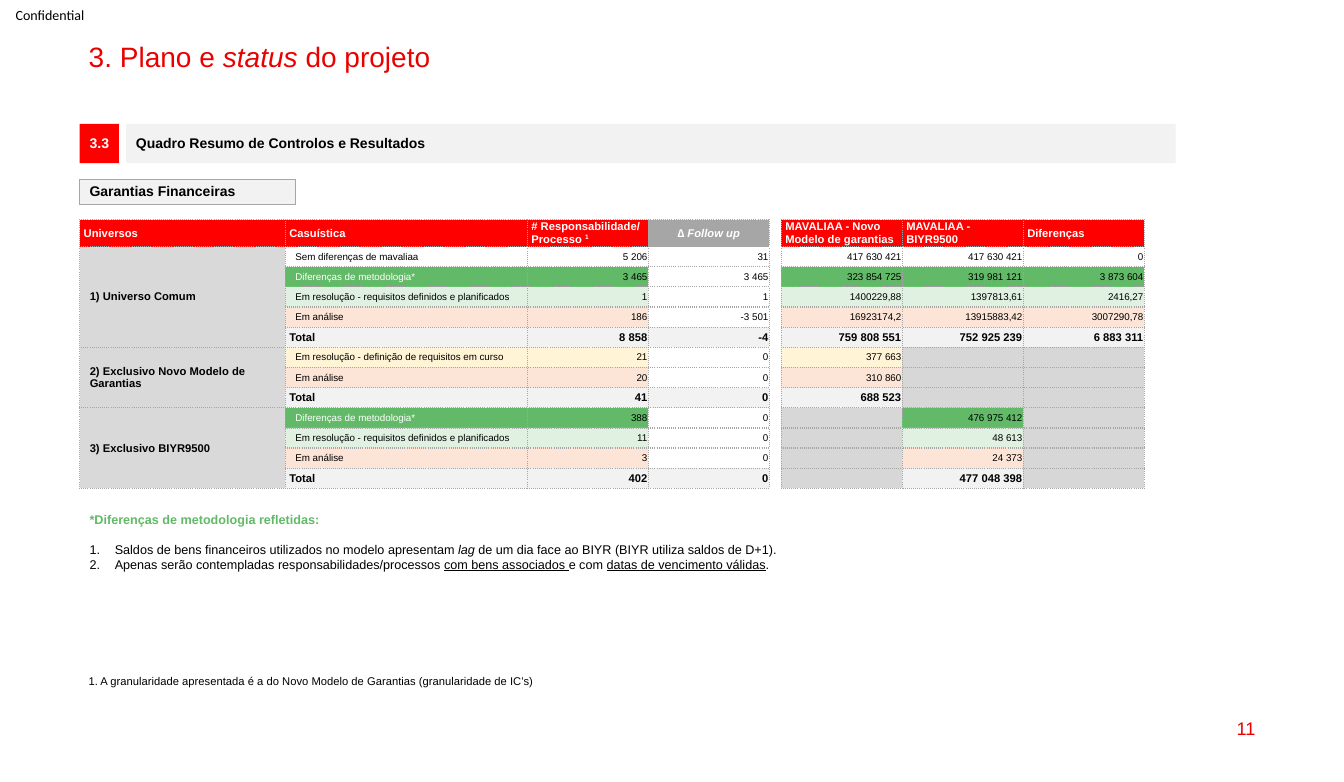
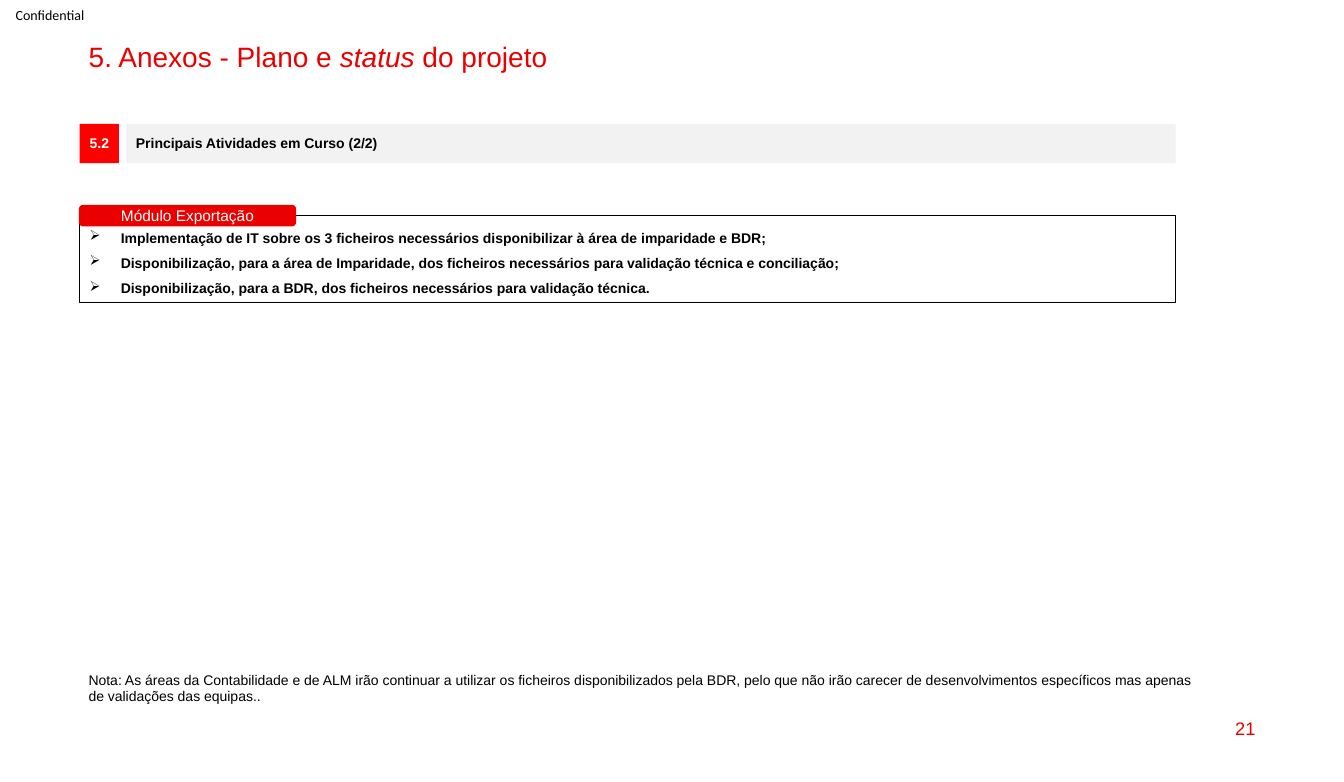
import dataclasses
import pptx
import pptx.dml.color
import pptx.enum.dml
import pptx.enum.shapes
import pptx.enum.text
import pptx.oxml.ns
import pptx.util
from lxml import etree
from pptx.util import Inches


@dataclasses.dataclass
class Theme:
    font: str = "Arial"
    red: str = "EB0000"
    bright: str = "FF0000"
    black: str = "000000"
    white: str = "FFFFFF"
    pale: str = "F2F2F2"
    edge: str = "A6A6A6"
    group: str = "D9D9D9"
    void: str = "D7D7D7"
    green: str = "62B967"
    mint: str = "E0F1E1"
    peach: str = "FCE4D6"
    cream: str = "FFF5D6"
    title: int = 20
    page: int = 13
    tab: int = 11
    body: int = 10
    note: int = 9
    small: int = 8
    cell: int = 7


theme = Theme()
rgb = pptx.dml.color.RGBColor.from_string
qn = pptx.oxml.ns.qn
align = pptx.enum.text.PP_ALIGN
anchor = pptx.enum.text.MSO_ANCHOR
kind = pptx.enum.shapes.MSO_SHAPE


def write(frame, lines, size, color=theme.black, bold=False, side=align.LEFT,
          mark="italic", font=theme.font, space=None):
    frame.text = "\n".join(line.replace("|", "") for line in lines)
    for par, line in zip(frame.paragraphs, lines):
        parts = line.split("|")
        par.text = parts[0]
        for part in parts[1:]:
            par.add_run().text = part
        par.alignment = side
        par.line_spacing = space
        first = 0 if parts[0] else 1
        for spot, run in enumerate(par.runs, first):
            run.font.name = font
            run.font.size = pptx.util.Pt(size)
            run.font.bold = bold
            run.font.color.rgb = rgb(color)
            if spot % 2 and mark == "super":
                run.font._rPr.set("baseline", "30000")
            elif spot % 2:
                setattr(run.font, mark, True)


def box(slide, at, shape=None, fill=None, line=None, width=1, mid=True, pad=0.1):
    at = [Inches(n) for n in at]
    if shape is None:
        item = slide.shapes.add_textbox(*at)
    else:
        item = slide.shapes.add_shape(shape, *at)
        item.shadow.inherit = False
        if fill:
            item.fill.solid()
            item.fill.fore_color.rgb = rgb(fill)
        else:
            item.fill.background()
        if line:
            item.line.color.rgb = rgb(line)
            item.line.width = pptx.util.Pt(width)
        else:
            item.line.fill.background()
    frame = item.text_frame
    frame.word_wrap = True
    frame.vertical_anchor = anchor.MIDDLE if mid else anchor.TOP
    frame.margin_left = frame.margin_right = Inches(pad)
    return frame


deck = pptx.Presentation()
deck.slide_width = Inches(13.33)
deck.slide_height = Inches(7.76)

left = 0.79
heads = [
    ("3. Plano e |status| do projeto", "3.3", "Quadro Resumo de Controlos e Resultados", "11"),
    ("5. Anexos - Plano e |status| do projeto", "5.2", "Principais Atividades em Curso (2/2)", "21"),
]
for head, tag, topic, page in heads:
    slide = deck.slides.add_slide(deck.slide_layouts[5])
    title = slide.shapes.title
    title.left, title.top = Inches(0.78), Inches(0.38)
    title.width, title.height = Inches(11.77), Inches(0.34)
    frame = title.text_frame
    frame.auto_size = pptx.enum.text.MSO_AUTO_SIZE.NONE
    frame.vertical_anchor = anchor.TOP
    write(frame, [head], theme.title, theme.red, space=0.9)
    write(box(slide, (0, 0, 0.99, 0.29), pad=0), ["Confidential"], theme.body,
          side=align.CENTER, font="Calibri")
    write(box(slide, (left, 1.23, 0.39, 0.39), kind.RECTANGLE, theme.bright, pad=0),
          [tag], theme.body, theme.white, True, align.CENTER, space=0.9)
    write(box(slide, (1.25, 1.23, 10.41, 0.39), kind.RECTANGLE, theme.pale),
          [topic], theme.body, bold=True, space=0.9)
    write(box(slide, (9.55, 7.02, 3, 0.41)), [page], theme.page, theme.red,
          side=align.RIGHT)

plan, annex = deck.slides

write(box(plan, (left, 1.78, 2.14, 0.25), kind.RECTANGLE, theme.pale, theme.edge, 0.75),
      ["Garantias Financeiras"], theme.body, bold=True, space=0.9)

tops = ["Universos", "Casuística", "# Responsabilidade/\nProcesso |1", "|∆ Follow up", "",
        "MAVALIAA - Novo Modelo de garantias", "MAVALIAA - BIYR9500", "Diferenças"]
method = "Diferenças de metodologia*"
ready = "Em resolução - requisitos definidos e planificados"
course = "Em resolução - definição de requisitos em curso"
study = "Em análise"
total = "Total"
fills = {method: theme.green, ready: theme.mint, course: theme.cream,
         study: theme.peach, total: theme.pale}
groups = [
    ("1) Universo Comum", [
        ("Sem diferenças de mavaliaa", "5 206", "31", "417 630 421", "417 630 421", "0"),
        (method, "3 465", "3 465", "323 854 725", "319 981 121", "3 873 604"),
        (ready, "1", "1", "1400229,88", "1397813,61", "2416,27"),
        (study, "186", "-3 501", "16923174,2", "13915883,42", "3007290,78"),
        (total, "8 858", "-4", "759 808 551", "752 925 239", "6 883 311"),
    ]),
    ("2) Exclusivo Novo Modelo de Garantias", [
        (course, "21", "0", "377 663", "", ""),
        (study, "20", "0", "310 860", "", ""),
        (total, "41", "0", "688 523", "", ""),
    ]),
    ("3) Exclusivo BIYR9500", [
        (method, "388", "0", "", "476 975 412", ""),
        (ready, "11", "0", "", "48 613", ""),
        (study, "3", "0", "", "24 373", ""),
        (total, "402", "0", "", "477 048 398", ""),
    ]),
]
rows = [tops]
spans = []
for name, items in groups:
    spans.append((len(rows), len(rows) + len(items) - 1))
    for spot, item in enumerate(items):
        rows.append([name if spot == 0 else "", *item[:3], "", *item[3:]])

grid = plan.shapes.add_table(len(rows), len(tops), Inches(left), Inches(2.18),
                             Inches(10.55), Inches(2.66)).table
grid.first_row = grid.horz_banding = False
for col, width in zip(grid.columns, [2.04, 2.4, 1.2, 1.2, 0.11, 1.2, 1.2, 1.2]):
    col.width = Inches(width)
for r, row in enumerate(rows):
    grid.rows[r].height = Inches(0.2 if r else 0.26)
    for c, text in enumerate(row):
        cell = grid.cell(r, c)
        cell.vertical_anchor = anchor.MIDDLE
        cell.margin_top = cell.margin_bottom = 0
        cell.margin_left = cell.margin_right = Inches(0.01)
        look = dict(size=theme.cell, side=align.RIGHT)
        fill = fills.get(row[1])
        if r == 0:
            fill = theme.bright
            look = dict(size=theme.small, color=theme.white, bold=True)
            if c == 2:
                look["mark"] = "super"
            if c == 3:
                fill = theme.edge
                look["side"] = align.CENTER
            else:
                cell.margin_left = cell.margin_right = Inches(0.04)
        elif c == 0:
            fill = theme.group
            cell.margin_left = cell.margin_right = Inches(0.1)
            look = dict(size=theme.small, bold=True)
        else:
            if row[1] == total:
                look.update(size=theme.small, bold=True)
            if c == 1:
                look["side"] = align.LEFT
                cell.margin_left = Inches(0.04 if row[1] == total else 0.1)
                if text == method:
                    look["color"] = theme.white
            elif c == 3 and row[1] != total:
                fill = None
            elif c > 4 and not text:
                fill = theme.void
        if c == 4:
            fill = None
        if text:
            write(cell.text_frame, text.split("\n"), **look)
        else:
            end = etree.SubElement(cell.text_frame.paragraphs[0]._p, qn("a:endParaRPr"))
            end.set("sz", str(theme.cell * 100))
        props = cell._tc.get_or_add_tcPr()
        for edge in ("lnL", "lnR") if c == 4 else ("lnL", "lnR", "lnT", "lnB"):
            rule = etree.SubElement(props, qn("a:" + edge), w="12700")
            paint = etree.SubElement(rule, qn("a:solidFill"))
            etree.SubElement(paint, qn("a:srgbClr"), val=theme.edge)
            etree.SubElement(rule, qn("a:prstDash"), val="sysDot")
        if fill:
            cell.fill.solid()
            cell.fill.fore_color.rgb = rgb(fill)
        else:
            cell.fill.background()
for first, last in spans:
    grid.cell(first, 0).merge(grid.cell(last, 0))

notes = box(plan, (left, 5.03, 10.55, 1.5), mid=False)
write(notes, [
    "*Diferenças de metodologia refletidas:",
    "Saldos de bens financeiros utilizados no modelo apresentam |lag| de um dia face ao BIYR (BIYR utiliza saldos de D+1).",
    "Apenas serão contempladas responsabilidades/processos |com bens associados |e com |datas de vencimento válidas|.",
], theme.note)
lead, *points = notes.paragraphs
lead.runs[0].font.bold = True
lead.runs[0].font.color.rgb = rgb(theme.green)
points[0].space_before = pptx.util.Pt(10.5)
for run in points[1].runs[1::2]:
    run.font.italic = None
    run.font.underline = True
write(box(plan, (0.78, 6.64, 4.75, 0.24), mid=False),
      ["1. A granularidade apresentada é a do Novo Modelo de Garantias (granularidade de IC’s)"],
      theme.small)

tasks = box(annex, (left, 2.14, 10.87, 0.86), kind.RECTANGLE, None, theme.black, 0.5, False)
write(tasks, [
    "Implementação de IT sobre os 3 ficheiros necessários disponibilizar à área de imparidade e BDR;",
    "Disponibilização, para a área de Imparidade, dos ficheiros necessários para validação técnica e conciliação;",
    "Disponibilização, para a BDR, dos ficheiros necessários para validação técnica.",
], theme.body, bold=True, space=1.5)
write(box(annex, (left, 2.04, 2.14, 0.2), kind.ROUNDED_RECTANGLE, theme.red, theme.red),
      ["Módulo Exportação"], theme.tab, theme.white, side=align.CENTER)
write(box(annex, (0.78, 6.61, 11.27, 0.44), mid=False), [
    "Nota: As áreas da Contabilidade e de ALM irão continuar a utilizar os ficheiros disponibilizados pela BDR, pelo que não irão carecer de desenvolvimentos específicos mas apenas",
    "de validações das equipas..",
], theme.body)

lists = [(points, 0.25, "buAutoNum", {"type": "arabicPeriod"}),
         (tasks.paragraphs, 0.31, "buChar", {"char": "➢"})]
for pars, dent, bullet, attrs in lists:
    for par in pars:
        props = par._p.get_or_add_pPr()
        props.set("marL", str(Inches(dent)))
        props.set("indent", str(-Inches(dent)))
        etree.SubElement(props, qn("a:" + bullet), attrs)

deck.save("out.pptx")
